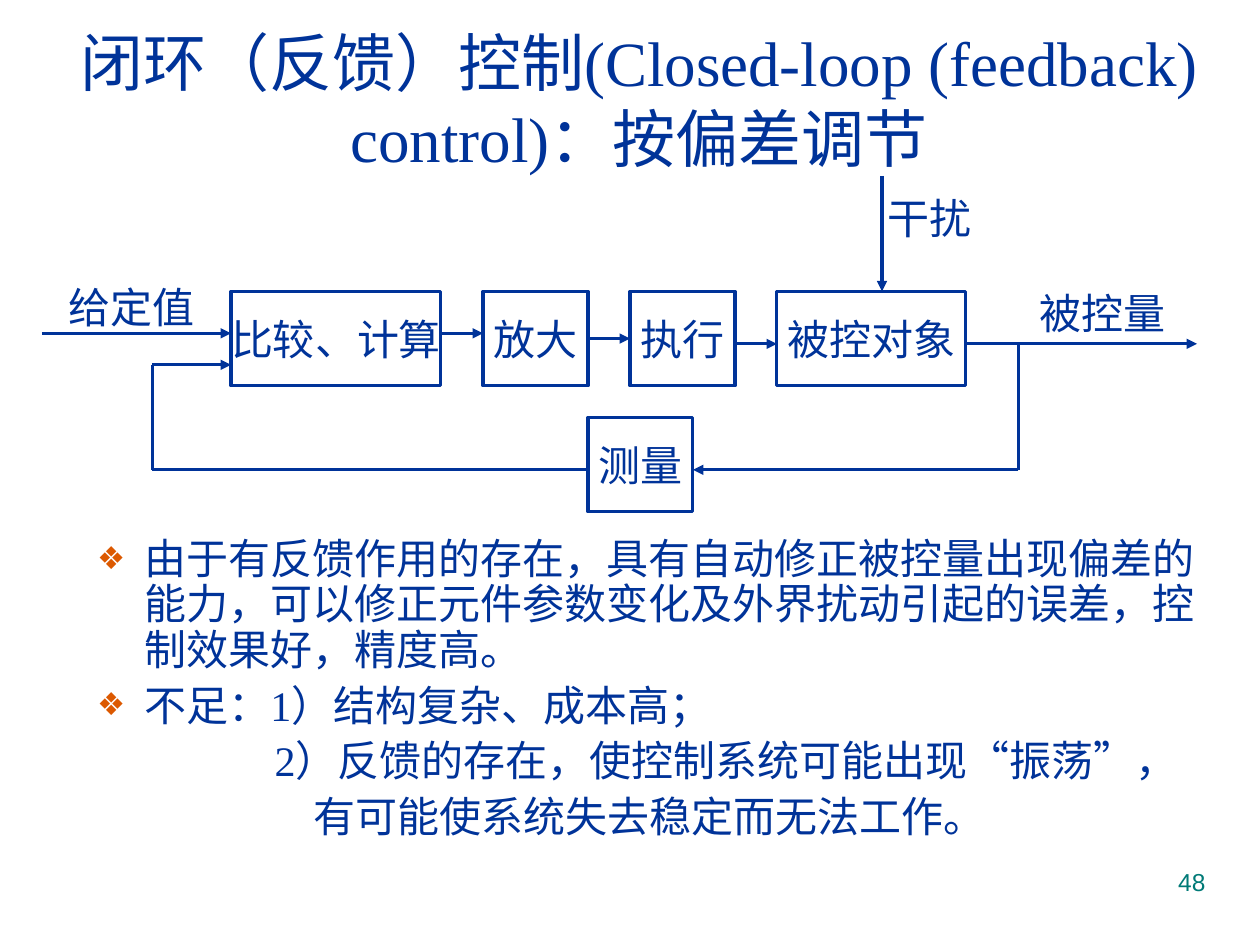
import pptx
import pptx.util
import pptx.dml.color
import pptx.enum.shapes
import pptx.enum.text
import pptx.oxml
import pptx.oxml.ns

Pt = pptx.util.Pt
Align = pptx.enum.text.PP_ALIGN
Anchor = pptx.enum.text.MSO_ANCHOR
BLUE, TEAL, RUST = "003399", "007A77", "DC5900"
SERIF = "Times New Roman"


def color(code):
    return pptx.dml.color.RGBColor.from_string(code)


def node(parent, xml):
    space = pptx.oxml.ns.nsdecls("a")
    tag, _, rest = xml.partition(" ")
    parent.append(pptx.oxml.parse_xml(f"<a:{tag} {space} {rest}"))


def place(shape, box):
    shape.left, shape.top, shape.width, shape.height = map(Pt, box)


def style(para, size, align=Align.LEFT, face=SERIF, code=BLUE):
    para.alignment = align
    for run in para.runs:
        run.font.size = Pt(size)
        run.font.name = face
        run.font.color.rgb = color(code)


def center(shape, text):
    frame = shape.text_frame
    frame.text = text
    frame.word_wrap = False
    frame.vertical_anchor = Anchor.MIDDLE
    style(frame.paragraphs[0], 24, Align.CENTER)


def add_title(slide, box):
    shape = slide.shapes.title
    place(shape, box)
    frame = shape.text_frame
    frame.text = "闭环（反馈）控制(Closed-loop (feedback) control)：按偏差调节"
    frame.auto_size = pptx.enum.text.MSO_AUTO_SIZE.NONE
    frame.vertical_anchor = Anchor.MIDDLE
    style(frame.paragraphs[0], 36, Align.CENTER)


def add_list(slide, box):
    items = [
        ("由于有反馈作用的存在，具有自动修正被控量出现偏差的能力，"
         "可以修正元件参数变化及外界扰动引起的误差，控制效果好，精度高。", 27, True),
        ("不足：1）结构复杂、成本高；", 27, True),
        ("2）反馈的存在，使控制系统可能出现“振荡”，", 101.5, False),
        ("有可能使系统失去稳定而无法工作。", 123.5, False),
    ]
    shape = slide.placeholders[1]
    place(shape, box)
    frame = shape.text_frame
    frame.auto_size = pptx.enum.text.MSO_AUTO_SIZE.NONE
    frame.text = "\n".join(text for text, _, _ in items)
    for i, (para, (_, left, mark)) in enumerate(zip(frame.paragraphs, items)):
        props = para._p.get_or_add_pPr()
        props.set("marL", str(Pt(left)))
        props.set("indent", str(Pt(-27 if mark else 0)))
        if mark:
            node(props, f'buClr ><a:srgbClr val="{RUST}"/></a:buClr>')
            node(props, 'buSzPct val="75000"/>')
            node(props, 'buChar char="❖"/>')
        else:
            node(props, "buNone />")
        para.line_spacing = 0.9
        para.space_before = Pt(6 if i else 0)
        style(para, 24)


def add_line(slide, ends, arrow=True):
    kind = pptx.enum.shapes.MSO_CONNECTOR.STRAIGHT
    line = slide.shapes.add_connector(kind, *map(Pt, ends))
    line.line.color.rgb = color(BLUE)
    line.line.width = Pt(1.75)
    if arrow:
        node(line.line._get_or_add_ln(), 'tailEnd type="triangle"/>')
    node(line._element.spPr, "effectLst />")
    return line


def add_block(slide, text, box):
    kind = pptx.enum.shapes.MSO_SHAPE.RECTANGLE
    shape = slide.shapes.add_shape(kind, *map(Pt, box))
    shape.shadow.inherit = False
    shape.fill.background()
    shape.line.color.rgb = color(BLUE)
    shape.line.width = Pt(1.75)
    center(shape, text)
    return shape


def add_loop(slide, left, top):
    blocks = {}
    for text, x, y, wide in [
        ("比较、计算", 108, 66, 120),
        ("放大", 252, 66, 60),
        ("执行", 336, 66, 60),
        ("被控对象", 420, 66, 108),
        ("测量", 312, 138, 60),
    ]:
        blocks[text] = add_block(slide, text, (left + x, top + y, wide, 54))

    for text, x, y, wide, high in [
        ("给定值", 0, 60, 102, 30),
        ("干扰", 474, 0, 66, 48),
        ("被控量", 555, 63, 102, 30),
    ]:
        box = (left + x, top + y, wide, high)
        center(slide.shapes.add_textbox(*map(Pt, box)), text)

    for x, y, far, low, arrow in [
        (0, 90, 108, 90, True),
        (228, 90, 252, 90, True),
        (396, 96, 420, 96, True),
        (528, 96, 660, 96, True),
        (480, 0, 480, 66, True),
        (558, 96, 558, 168, False),
        (558, 168, 372, 168, True),
        (312, 168, 63, 168, False),
        (63, 168, 63, 108, False),
        (63, 108, 108, 108, True),
    ]:
        add_line(slide, (left + x, top + y, left + far, top + low), arrow)

    link = add_line(slide, (left + 312, top + 93, left + 336, top + 93))
    link.begin_connect(blocks["放大"], 3)
    link.end_connect(blocks["执行"], 1)


def add_number(slide, box):
    frame = slide.shapes.add_textbox(*map(Pt, box)).text_frame
    frame.word_wrap = True
    frame.text = "48"
    style(frame.paragraphs[0], 14, Align.RIGHT, "Arial", TEAL)


def main():
    deck = pptx.Presentation()
    deck.slide_width, deck.slide_height = Pt(720), Pt(540)
    slide = deck.slides.add_slide(deck.slide_layouts[1])
    add_title(slide, (30, 14, 670.5, 85.5))
    add_loop(slide, 24, 100.5)
    add_list(slide, (48.25, 304, 642.25, 198.5))
    add_number(slide, (516, 492, 180, 37.5))
    deck.save("out.pptx")


if __name__ == "__main__":
    main()
